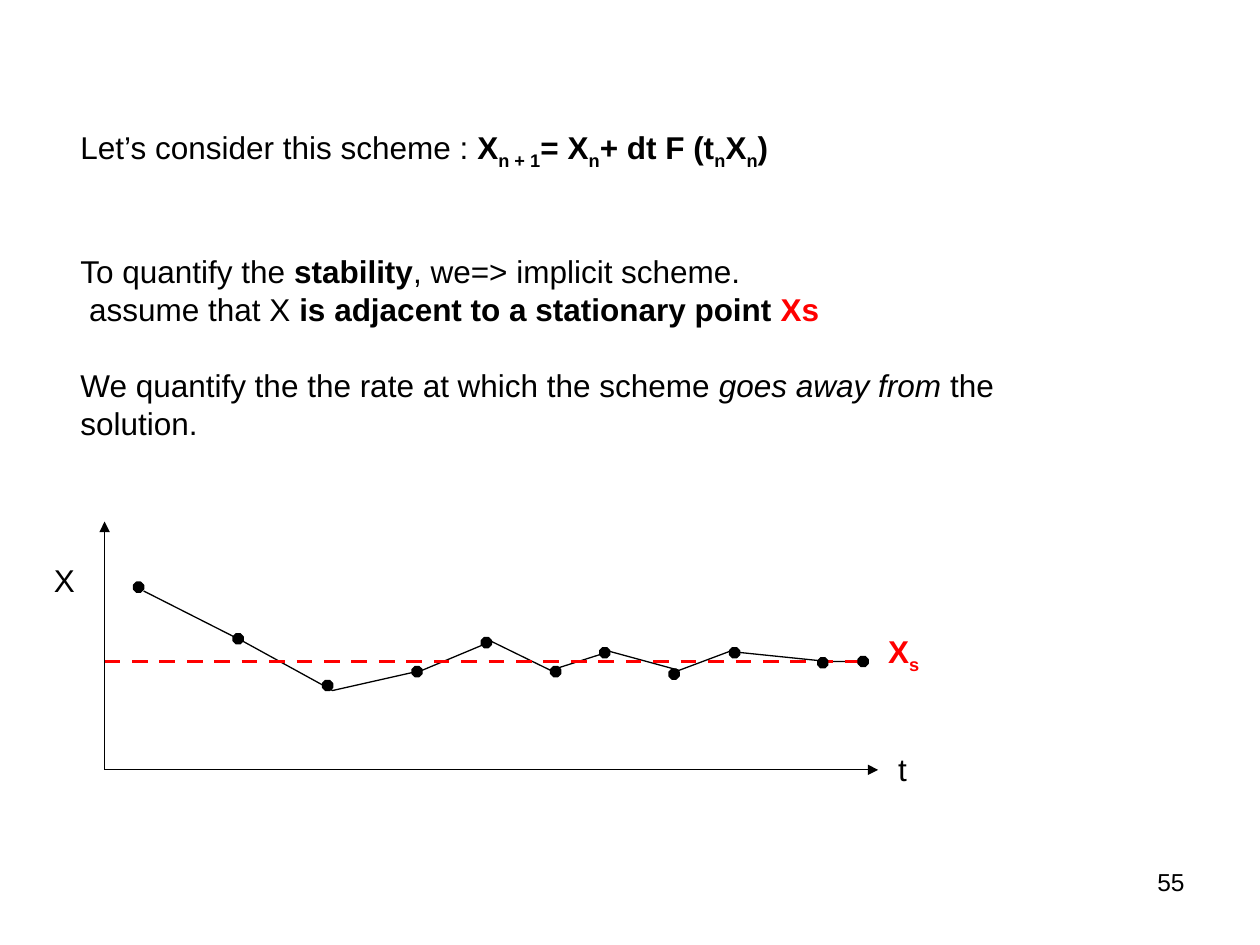
from pptx import Presentation
from pptx.dml.color import RGBColor
from pptx.enum.dml import MSO_LINE
from pptx.enum.shapes import MSO_CONNECTOR, MSO_SHAPE
from pptx.enum.text import PP_ALIGN
from pptx.oxml.ns import qn
from pptx.util import Pt
from lxml.etree import SubElement

PX = 9144
BLACK = RGBColor(0, 0, 0)
RED = RGBColor(255, 0, 0)
WHITE = RGBColor(255, 255, 255)
DOT = 8
CURVE = [(31, 55), (110, 95), (181, 134), (252, 118), (307, 95), (354, 118),
         (401, 103), (456, 118), (496, 103), (574, 111), (598, 111)]
DOTS = [(23, 48), (102, 89), (173, 126), (244, 115), (299, 92), (354, 115),
        (393, 100), (448, 117), (496, 100), (566, 108), (598, 107)]


def add_runs(p, runs, size=18):
    """Add (text, style, colour) runs; style letters are b, i and s for subscript."""
    for text, style, color in runs:
        r = p.add_run()
        r.text = text
        r.font.name = "Arial"
        r.font.size = Pt(size)
        r.font.bold = "b" in style
        r.font.italic = "i" in style
        r.font.color.rgb = color
        if "s" in style:
            r._r.get_or_add_rPr().set("baseline", "-25000")


def add_text(s, x, y, w, h, wrap=True):
    """Add an empty text box and return its text frame."""
    tf = s.shapes.add_textbox(x * PX, y * PX, w * PX, h * PX).text_frame
    tf.word_wrap = wrap
    return tf


def add_label(s, x, y, w, runs):
    """Add a one-line label."""
    p = add_text(s, x, y, w, 40, wrap=False).paragraphs[0]
    p.line_spacing = Pt(21.6)
    add_runs(p, runs)


def add_line(s, x1, y1, x2, y2, color=BLACK, width=0.75, arrow=False):
    """Add a straight line, with an arrowhead at its end if asked."""
    c = s.shapes.add_connector(MSO_CONNECTOR.STRAIGHT, x1 * PX, y1 * PX, x2 * PX, y2 * PX)
    c.line.color.rgb = color
    c.line.width = Pt(width)
    if arrow:
        SubElement(c.line._get_or_add_ln(), qn("a:tailEnd"), type="triangle")
    SubElement(c._element.spPr, qn("a:effectLst"))
    return c


def add_body(s, x, y, w, h):
    """Place the explanation of the scheme and its stability."""
    paragraphs = [
        (0, [("Let’s consider this scheme : ", "", BLACK), ("X", "b", BLACK),
             ("n + 1", "bs", BLACK), ("= X", "b", BLACK), ("n", "bs", BLACK),
             ("+ dt F (t", "b", BLACK), ("n", "bs", BLACK), ("X", "b", BLACK),
             ("n", "bs", BLACK), (")", "b", BLACK)]),
        (46, [("To quantify the ", "", BLACK), ("stability", "b", BLACK),
              (", we=> implicit scheme.", "", BLACK)]),
        (0, [(" assume that X ", "", BLACK),
             ("is adjacent to a stationary point ", "b", BLACK), ("Xs", "b", RED)]),
        (22, [("We quantify the the rate at which the scheme ", "", BLACK),
              ("goes away from ", "i", BLACK), ("the solution.", "", BLACK)]),
    ]
    tf = add_text(s, x, y, w, h)
    tf.margin_top = 36 * PX
    for i, (gap, runs) in enumerate(paragraphs):
        p = tf.add_paragraph() if i else tf.paragraphs[0]
        p.line_spacing = Pt(21.6)
        p.space_before = Pt(gap)
        add_runs(p, runs)


def add_plot(s, x, y, w, h):
    """Draw the sequence of X over t as it settles on the stationary point."""
    points = [((x + dx) * PX, (y + dy) * PX) for dx, dy in CURVE]
    builder = s.shapes.build_freeform(*points[0])
    builder.add_line_segments(points[1:], close=False)
    curve = builder.convert_to_shape()
    curve.shadow.inherit = False
    curve.fill.background()
    curve.line.color.rgb = BLACK
    curve.line.width = Pt(0.75)

    add_line(s, x, y + h, x, y, arrow=True)
    add_line(s, x, y + h, x + w, y + h, arrow=True)
    add_label(s, x + w + 6, y + h - 21, 27, [("t", "", BLACK)])
    add_label(s, x - 50, y + 26, 37, [("X", "", BLACK)])
    level = add_line(s, x, y + 111, x + w - 8, y + 111, RED, 2.25)
    level.line.dash_style = MSO_LINE.DASH
    add_label(s, x + w - 2, y + 87, 46, [("X", "b", RED), ("s", "bs", RED)])

    for dx, dy in DOTS:
        sp = s.shapes.add_shape(MSO_SHAPE.OCTAGON, (x + dx) * PX, (y + dy) * PX, DOT * PX, DOT * PX)
        sp.shadow.inherit = False
        sp.fill.solid()
        sp.fill.fore_color.rgb = BLACK
        sp.line.color.rgb = BLACK
        sp.line.width = Pt(0.75)


def add_page_number(s, x, y, w, h):
    """Place the slide number at the right of its box."""
    p = add_text(s, x, y, w, h).paragraphs[0]
    p.alignment = PP_ALIGN.RIGHT
    add_runs(p, [("55", "", BLACK)], size=14)


def main():
    """Build the slide and save it."""
    prs = Presentation()
    prs.slide_width, prs.slide_height = 1000 * PX, 750 * PX
    s = prs.slides.add_slide(prs.slide_layouts[6])
    s.background.fill.solid()
    s.background.fill.fore_color.rgb = WHITE
    add_page_number(s, 717, 683, 233, 52)
    add_body(s, 54, 70, 827, 283)
    add_plot(s, 83, 414, 614, 197)
    prs.save("out.pptx")


if __name__ == "__main__":
    main()
